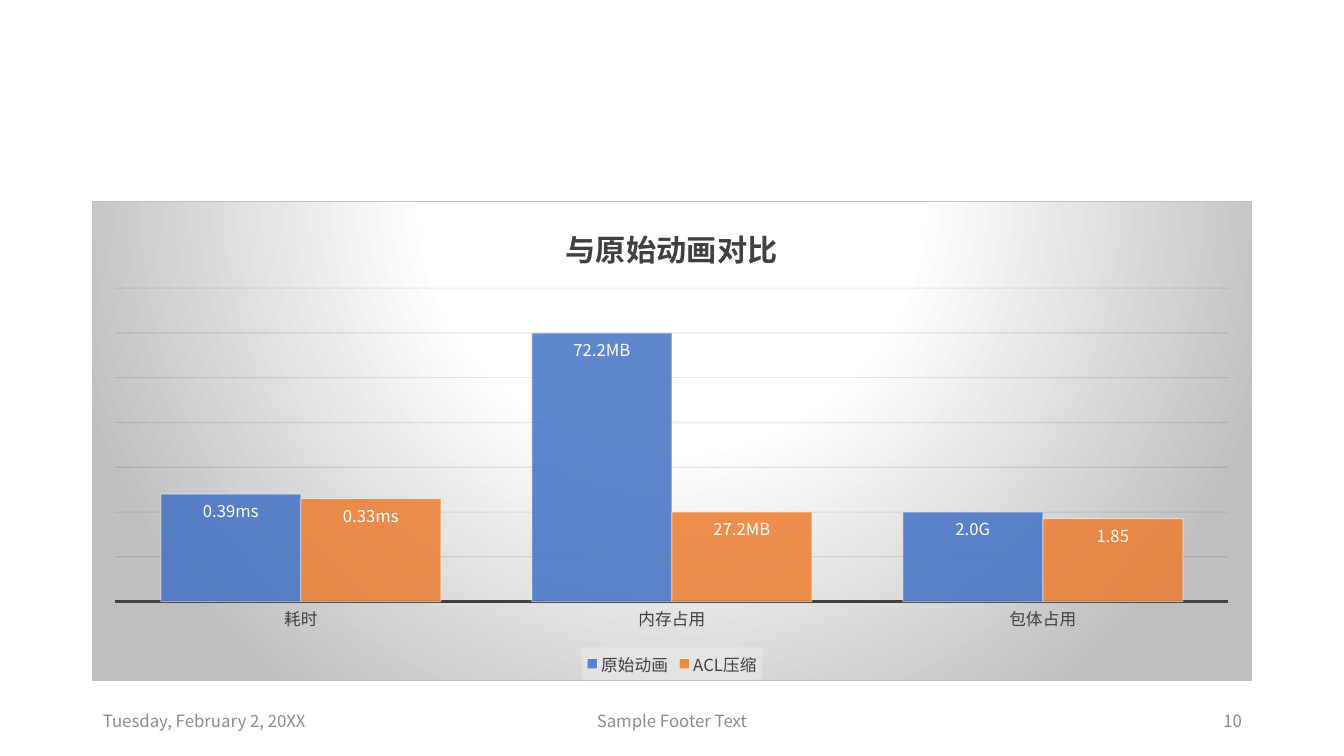
from pptx import Presentation
from pptx.chart.data import CategoryChartData as Data
from pptx.dml.color import RGBColor as Rgb
from pptx.enum.chart import XL_CHART_TYPE as Kind, XL_LABEL_POSITION as Spot
from pptx.enum.chart import XL_LEGEND_POSITION as Side, XL_TICK_MARK as Tick
from pptx.enum.text import MSO_ANCHOR as Anchor, PP_ALIGN as Align
from pptx.oxml import parse_xml
from pptx.oxml.ns import nsdecls
from pptx.util import Pt

# Content
FONT = "Noto Sans CJK SC"
DARK, GREY, WHITE = "404040", "8C8C8C", "FFFFFF"
TITLE = "与原始动画对比"
CATS = ["耗时", "内存占用", "包体占用"]
SERIES = [
    ("原始动画", "4472C4", (2.4, 6, 2), ("0.39ms", "72.2MB", "2.0G")),
    ("ACL压缩", "ED7D31", (2.3, 2, 1.85), ("0.33ms", "27.2MB", "1.85")),
]
FOOT = [
    ("Tuesday, February 2, 20XX", 93, 302, Align.LEFT),
    ("Sample Footer Text", 445, 454, Align.CENTER),
    ("10", 950, 302, Align.RIGHT),
]
BOX = (92, 201, 1160, 480)
PLOT = (115, 288, 1114, 314)
SCALE = 914400 / 100.8


def px(n):
    return round(n * SCALE)


def rgb(code):
    return Rgb.from_string(code)


def style(font, size=11.9, color=DARK, bold=False):
    font.name, font.size, font.bold = FONT, Pt(size), bold
    font.color.rgb = rgb(color)


def write(frame, text, align=Align.CENTER, **fmt):
    para = frame.paragraphs[0]
    para.alignment = align
    run = para.add_run()
    run.text = text
    style(run.font, **fmt)


def stroke(line, color, width=0.75):
    line.color.rgb = rgb(color)
    line.width = Pt(width)


def xml(tag, body):
    return parse_xml(f"<{tag} {nsdecls('c', 'a')}>{body}</{tag}>")


def fade(root, query, share):
    for node in root.xpath(query + "//a:srgbClr"):
        node.append(parse_xml(f'<a:alpha {nsdecls("a")} val="{share * 1000}"/>'))


deck = Presentation()
deck.slide_width, deck.slide_height = px(1344), px(756)
slide = deck.slides.add_slide(deck.slide_layouts[6])

# Chart and title
data = Data()
data.categories = CATS
for name, color, vals, tags in SERIES:
    data.add_series(name, vals)
chart = slide.shapes.add_chart(Kind.COLUMN_CLUSTERED, *map(px, BOX), data).chart
style(chart.font)
chart.has_title = True
write(chart.chart_title.text_frame, TITLE, size=21.6, bold=True)
chart.chart_title.include_in_layout = False

# Columns and labels
plot = chart.plots[0]
plot.gap_width, plot.overlap, plot.vary_by_categories = 65, 0, False
for ser, (name, color, vals, tags) in zip(plot.series, SERIES):
    ser.format.fill.solid()
    ser.format.fill.fore_color.rgb = rgb(color)
    stroke(ser.format.line, WHITE)
    labels = ser.data_labels
    labels.show_value = True
    labels.position = Spot.INSIDE_END
    style(labels.font, color=WHITE, bold=True)
    for i, tag in enumerate(tags):
        label = ser.points[i].data_label
        write(label.text_frame, tag, color=WHITE)
        label.position = Spot.INSIDE_END

# Axes
cat, val = chart.category_axis, chart.value_axis
cat.major_tick_mark = Tick.NONE
style(cat.tick_labels.font)
stroke(cat.format.line, DARK, 1.5)
val.minimum_scale, val.maximum_scale, val.major_unit = 0, 7, 1
val.has_major_gridlines = True
stroke(val.major_gridlines.format.line, "0D0D0D")
val.visible = False

# Legend
chart.has_legend = True
chart.legend.position = Side.BOTTOM
chart.legend.include_in_layout = False
style(chart.legend.font)

# Gradient, transparency and plot area
root = chart.element
fade(root, ".//c:ser/c:spPr/a:solidFill", 85)
fade(root, ".//c:ser/c:spPr/a:ln", 50)
fade(root, ".//c:majorGridlines", 10)
root.xpath(".//c:legend/c:overlay")[0].addnext(xml("c:spPr", (
    '<a:solidFill><a:srgbClr val="F2F2F2"><a:alpha val="39000"/>'
    '</a:srgbClr></a:solidFill>')))
stops = "".join(
    f'<a:gs pos="{pos * 1000}"><a:srgbClr val="{color}"/></a:gs>'
    for pos, color in ((0, WHITE), (39, WHITE), (100, "BFBFBF")))
root.xpath("c:chart")[0].addnext(xml("c:spPr", (
    f'<a:gradFill><a:gsLst>{stops}</a:gsLst><a:path path="circle">'
    '<a:fillToRect l="50000" t="-80000" r="50000" b="180000"/></a:path></a:gradFill>'
    '<a:ln w="9525"><a:solidFill><a:srgbClr val="BFBFBF"/></a:solidFill></a:ln>')))
area = root.xpath(".//c:plotArea")[0]
for old in area.xpath("c:layout"):
    area.remove(old)
left, top, wide, high = BOX
parts = zip("xywh", (PLOT[0] - left, PLOT[1] - top, *PLOT[2:]), (wide, high) * 2)
area.insert(0, xml("c:layout", (
    '<c:manualLayout><c:layoutTarget val="inner"/>'
    '<c:xMode val="edge"/><c:yMode val="edge"/>'
    + "".join(f'<c:{key} val="{part / full:.4f}"/>' for key, part, full in parts)
    + "</c:manualLayout>")))
for latin in root.xpath(".//a:latin"):
    latin.addnext(parse_xml(f'<a:ea {nsdecls("a")} typeface="{FONT}"/>'))

# Footer
for text, x, width, align in FOOT:
    frame = slide.shapes.add_textbox(px(x), px(701), px(width), px(40)).text_frame
    frame.word_wrap = True
    frame.vertical_anchor = Anchor.MIDDLE
    write(frame, text, align, size=12, color=GREY)

deck.save("out.pptx")
